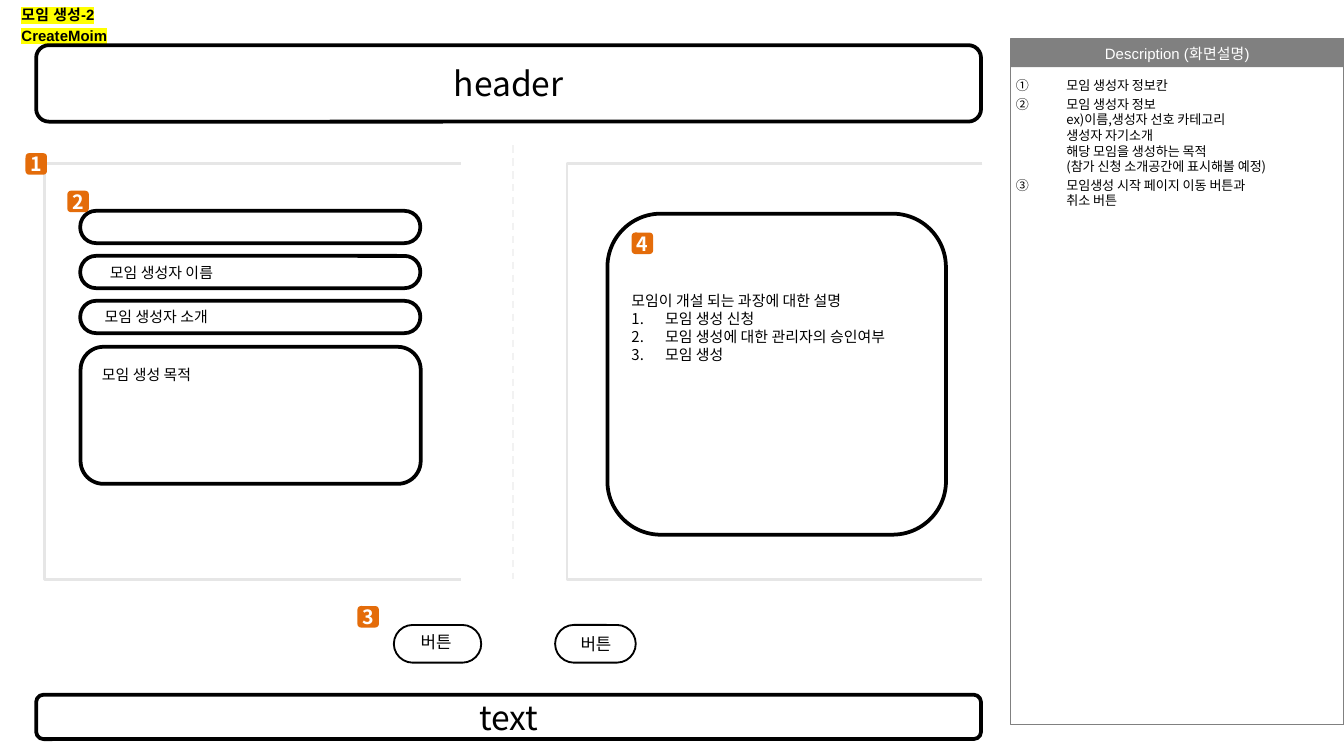
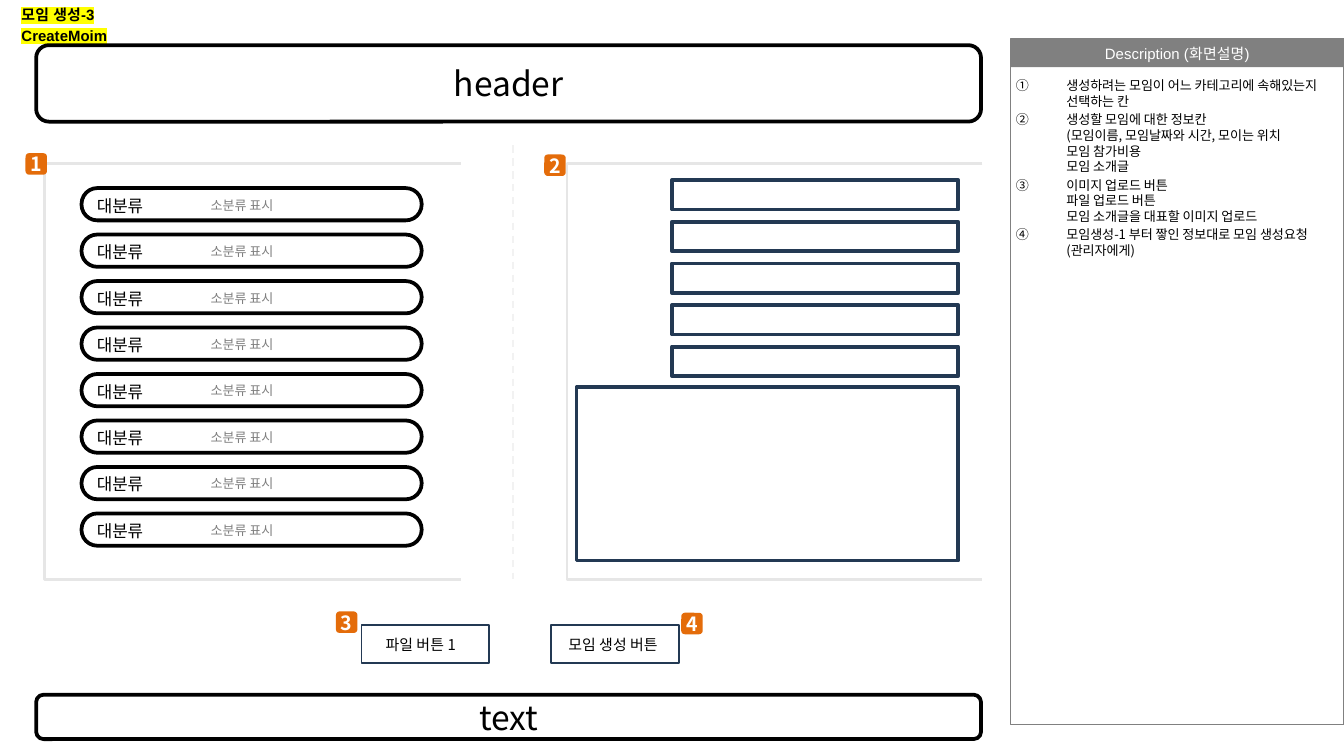
"""Build two wireframe pages for the group creation screens."""
from copy import deepcopy

from lxml import etree
from pptx import Presentation
from pptx.dml.color import RGBColor
from pptx.enum import dml, shapes, text
from pptx.oxml import ns
from pptx.util import Pt

COLORS = {
    "ink": "000000", "paper": "FFFFFF", "grey": "808080", "panel": "E6E6E6",
    "divider": "F2F2F2", "badge": "E46C0A", "navy": "233953", "marker": "FFFF00",
}
SANS, LATIN = "Noto Sans CJK KR", "Arial"
RECT, ROUND = shapes.MSO_SHAPE.RECTANGLE, shapes.MSO_SHAPE.ROUNDED_RECTANGLE
LEFT, CENTER = text.PP_ALIGN.LEFT, text.PP_ALIGN.CENTER
TOP, MIDDLE = text.MSO_ANCHOR.TOP, text.MSO_ANCHOR.MIDDLE

HEADER = (19.4, 24.2, 506.2, 41)
FOOTER = (19.4, 372.2, 506.2, 23.8)
TITLE = (11.5, -0.7, 79.2, 22.3)
DESCRIPTION = (541.4, 20.9, 178.6, 367.2)
LEFT_PANEL = (23.8, 87.8, 223, 222.5)
RIGHT_PANEL = (303.8, 87.8, 222.5, 222.5)
BUTTON_ROW = (193.7, 334.8, 170, 20.2)
PILL = (182.2, 17.3)


def color(name):
    """Return the named colour."""
    return RGBColor.from_string(COLORS[name])


def assign(target, values):
    """Set every attribute in values on target."""
    for name, value in values.items():
        setattr(target, name, value)


def place(box, left, top, width, height):
    """Return a box offset from the corner of another box."""
    return box[0] + left, box[1] + top, width, height


def add_child(parent, tag, **attributes):
    """Append a DrawingML element to parent."""
    return etree.SubElement(parent, ns.qn(tag), attributes)


def number(para, scheme, indent):
    """Give a paragraph automatic numbers and a hanging indent."""
    properties = para._p.get_or_add_pPr()
    properties.set("marL", str(Pt(indent)))
    properties.set("indent", str(-Pt(indent)))
    add_child(properties, "a:buAutoNum", type=scheme)


def style_span(span, size, font, ink, bold, marker):
    """Format one run, with an optional highlight."""
    span.font.color.rgb = color(ink)
    assign(span.font, {"size": Pt(size), "bold": bold, "name": font})
    properties = span.font._element
    latin = properties.find(ns.qn("a:latin"))
    latin.addnext(properties.makeelement(ns.qn("a:ea"), {"typeface": font}))
    if marker:
        highlight = properties.makeelement(ns.qn("a:highlight"), {})
        add_child(highlight, "a:srgbClr", val=COLORS[marker])
        latin.addprevious(highlight)


def write(shape, lines, size, font=SANS, ink="ink", bold=False, marker=None,
          align=LEFT, anchor=TOP, insets=(7.2, 3.6, 7.2, 3.6), wrap=True,
          before=0, scheme=None, indent=0, plain=0):
    """Fill a shape with paragraphs, numbering those after the plain ones."""
    frame = shape.text_frame
    sides = ("margin_left", "margin_top", "margin_right", "margin_bottom")
    assign(frame, dict(zip(sides, map(Pt, insets))))
    assign(frame, {"word_wrap": wrap, "vertical_anchor": anchor,
                   "auto_size": text.MSO_AUTO_SIZE.NONE})
    for index, line in enumerate(lines):
        para = frame.add_paragraph() if index else frame.paragraphs[0]
        para.text = line
        spacing = Pt(round(size * 1.2, 1)) if font == SANS else 1.0
        assign(para, {"alignment": align, "space_before": Pt(before),
                      "line_spacing": spacing})
        if scheme and index >= plain:
            number(para, scheme, indent)
        for span in para.runs:
            style_span(span, size, font, ink, bold, marker)
        for line_break in para._p.findall(ns.qn("a:br")):
            line_break.insert(0, deepcopy(para.runs[0].font._element))


def add_shape(page, box, kind=RECT, fill=None, line=None, weight=2, radius=None):
    """Add a preset shape without a shadow."""
    shape = page.shapes.add_shape(kind, *map(Pt, box))
    shape.shadow.inherit = False
    if radius is not None:
        shape.adjustments[0] = radius
    if fill:
        shape.fill.solid()
        shape.fill.fore_color.rgb = color(fill)
    else:
        shape.fill.background()
    if line:
        shape.line.color.rgb = color(line)
        shape.line.width = Pt(weight)
    else:
        shape.line.fill.background()
    return shape


def add_text(page, box, lines, size, **style):
    """Add a text box."""
    write(page.shapes.add_textbox(*map(Pt, box)), lines, size, **style)


def add_pill(page, box):
    """Add a rounded input field."""
    add_shape(page, box, ROUND, line="ink", radius=0.49)


def add_badge(page, box, left, top, label):
    """Add a numbered marker at an offset within a box."""
    badge = add_shape(page, place(box, left, top, 11.5, 11.5), ROUND, "badge")
    write(badge, [label], 10.5, ink="paper", bold=True, align=CENTER,
          anchor=MIDDLE, insets=(0, 3.6, 0, 3.6))


def add_title(page, box, lines):
    """Move and format the title placeholder."""
    title = page.shapes.title
    assign(title, dict(zip(("left", "top", "width", "height"), map(Pt, box))))
    write(title, lines, 8, font=LATIN, bold=True, marker="marker",
          insets=(0, 3.6, 0, 3.6), before=1.6)


def add_band(page, box, label):
    """Add a full-width labelled band."""
    band = add_shape(page, box, ROUND, "paper", "ink")
    write(band, [label], 18, align=CENTER, anchor=MIDDLE)


def add_description(page, box, notes):
    """Add the side column with its heading and numbered notes."""
    width, height = box[2:]
    heading = add_shape(page, place(box, 0, 0, width, 15.1), fill="grey")
    write(heading, ["Description (화면설명)"], 8, font=LATIN, ink="paper",
          align=CENTER, anchor=MIDDLE, insets=(6.5, 2.9, 6.5, 2.9), wrap=False)
    add_shape(page, box, line="grey", weight=0.75)
    add_text(page, place(box, 0, 17.3, width, height - 16), notes, 7,
             insets=(2.9, 3.6, 0, 3.6), before=1.4,
             scheme="circleNumDbPlain", indent=27)


def add_panel(page, box):
    """Draw a panel outline that is open on the right."""
    left, top, width, height = map(Pt, box)
    right, bottom = left + width, top + height
    builder = page.shapes.build_freeform(right, top)
    builder.add_line_segments([(left, top), (left, bottom), (right, bottom)], close=False)
    panel = builder.convert_to_shape()
    panel.shadow.inherit = False
    panel.fill.background()
    panel.line.color.rgb = color("panel")
    panel.line.width = Pt(1.5)


def add_divider(page, box):
    """Draw the dashed line left of a panel."""
    x, bottom = Pt(box[0] - 28.8), Pt(box[1] + box[3])
    divider = page.shapes.add_connector(
        shapes.MSO_CONNECTOR.STRAIGHT, x, Pt(box[1] - 10), x, bottom)
    divider.line.color.rgb = color("divider")
    assign(divider.line, {"width": Pt(1), "dash_style": dml.MSO_LINE.DASH})
    add_child(divider._element.spPr, "a:effectLst")


def add_frame(deck, lines, notes):
    """Add a page with everything the screens share."""
    page = deck.slides.add_slide(deck.slide_layouts[5])
    add_title(page, TITLE, lines)
    add_description(page, DESCRIPTION, notes)
    for panel in (LEFT_PANEL, RIGHT_PANEL):
        add_panel(page, panel)
    add_divider(page, RIGHT_PANEL)
    add_badge(page, LEFT_PANEL, -10.1, -5.7, "1")
    add_band(page, HEADER, "header")
    add_band(page, FOOTER, "text")
    return page


def add_creator_form(page, box):
    """Add the creator's input fields."""
    for row in range(3):
        add_pill(page, place(box, 19.2, 25.2 + 24.1 * row, *PILL))
    add_shape(page, place(box, 19.4, 98, 182.2, 73.4), ROUND, line="ink")
    labels = (("모임 생성자 이름", 28, 49.7), ("모임 생성자 소개", 25.2, 73.5),
              ("모임 생성 목적", 23.7, 104.4))
    for label, left, top in labels:
        add_text(page, place(box, left, top, 170, 17.3), [label], 8)
    add_badge(page, box, 12.3, 14.4, "2")


def add_process(page, box):
    """Add the explanation of the approval steps."""
    add_shape(page, place(box, 21.6, 26.7, 181.4, 172), ROUND, line="ink")
    steps = ["모임이 개설 되는 과장에 대한 설명", "모임 생성 신청",
             "모임 생성에 대한 관리자의 승인여부", "모임 생성"]
    add_text(page, place(box, 27.4, 64.8, 169.2, 46), steps, 8,
             scheme="arabicPeriod", indent=18, plain=1)
    add_badge(page, box, 34.6, 36.8, "4")


def add_round_buttons(page, box):
    """Add the start and cancel buttons."""
    for left, width, text_left, text_top in ((17.3, 46.8, 24.5, 0), (103.7, 43.2, 110.2, 1)):
        add_shape(page, place(box, left, 0, width, box[3]), ROUND,
                  line="ink", weight=1, radius=0.5)
        add_text(page, place(box, text_left, text_top, 32.4, 18), ["버튼"], 9)
    add_badge(page, box, -2.2, -10.1, "3")


def add_categories(page, box):
    """Add the list of category fields."""
    for row in range(8):
        top = 13 + 24.9 * row
        add_pill(page, place(box, 19.9, top, *PILL))
        add_text(page, place(box, 21, top + 0.3, 53.3, 18), ["대분류"], 9)
        add_text(page, place(box, 82, top + 1.2, 53.3, 15.8), ["소분류 표시"], 7, ink="grey")


def add_group_form(page, box):
    """Add the fields for the group's details."""
    for row in range(5):
        add_shape(page, place(box, 56.2, 8.7 + 22.3 * row, 153.4, 15.8), line="navy")
    add_shape(page, place(box, 5.1, 119.6, 204.5, 92.9), line="navy")
    add_badge(page, box, -12.2, -5, "2")


def add_square_buttons(page, box):
    """Add the file and create buttons."""
    buttons = (("파일 버튼 1", 0, 5.8, "3", -13.7, -7.2),
               ("모임 생성 버튼", 101.5, 2.2, "4", 69.8, -6.5))
    for label, left, inset, mark, mark_left, mark_top in buttons:
        add_shape(page, place(box, left, 0, 68.4, box[3]), line="navy", weight=1)
        add_text(page, place(box, left + inset, 2.2, 72, 17.3), [label], 8)
        add_badge(page, box, left + mark_left, mark_top, mark)


def build_creator_page(deck):
    """Build the page about the group's creator."""
    page = add_frame(deck, ["모임 생성-2", "CreateMoim"], [
        "모임 생성자 정보칸",
        "모임 생성자 정보\nex)이름,생성자 선호 카테고리\n생성자 자기소개\n"
        "해당 모임을 생성하는 목적\n(참가 신청 소개공간에 표시해볼 예정)",
        "모임생성 시작 페이지 이동 버튼과\n취소 버튼",
    ])
    add_creator_form(page, LEFT_PANEL)
    add_process(page, RIGHT_PANEL)
    add_round_buttons(page, BUTTON_ROW)


def build_group_page(deck):
    """Build the page about the group itself."""
    page = add_frame(deck, ["모임 생성-3", "CreateMoim"], [
        "생성하려는 모임이 어느 카테고리에 속해있는지 선택하는 칸",
        "생성할 모임에 대한 정보칸\n(모임이름, 모임날짜와 시간, 모이는 위치\n"
        "모임 참가비용\n모임 소개글",
        "이미지 업로드 버튼\n파일 업로드 버튼\n모임 소개글을 대표할 이미지 업로드",
        "모임생성-1 부터 짷인 정보대로 모임 생성요청\n(관리자에게)",
    ])
    add_categories(page, LEFT_PANEL)
    add_group_form(page, RIGHT_PANEL)
    add_square_buttons(page, BUTTON_ROW)


def main():
    """Build and save the deck."""
    deck = Presentation()
    assign(deck, {"slide_width": Pt(720), "slide_height": Pt(405)})
    build_creator_page(deck)
    build_group_page(deck)
    deck.save("out.pptx")


if __name__ == "__main__":
    main()
